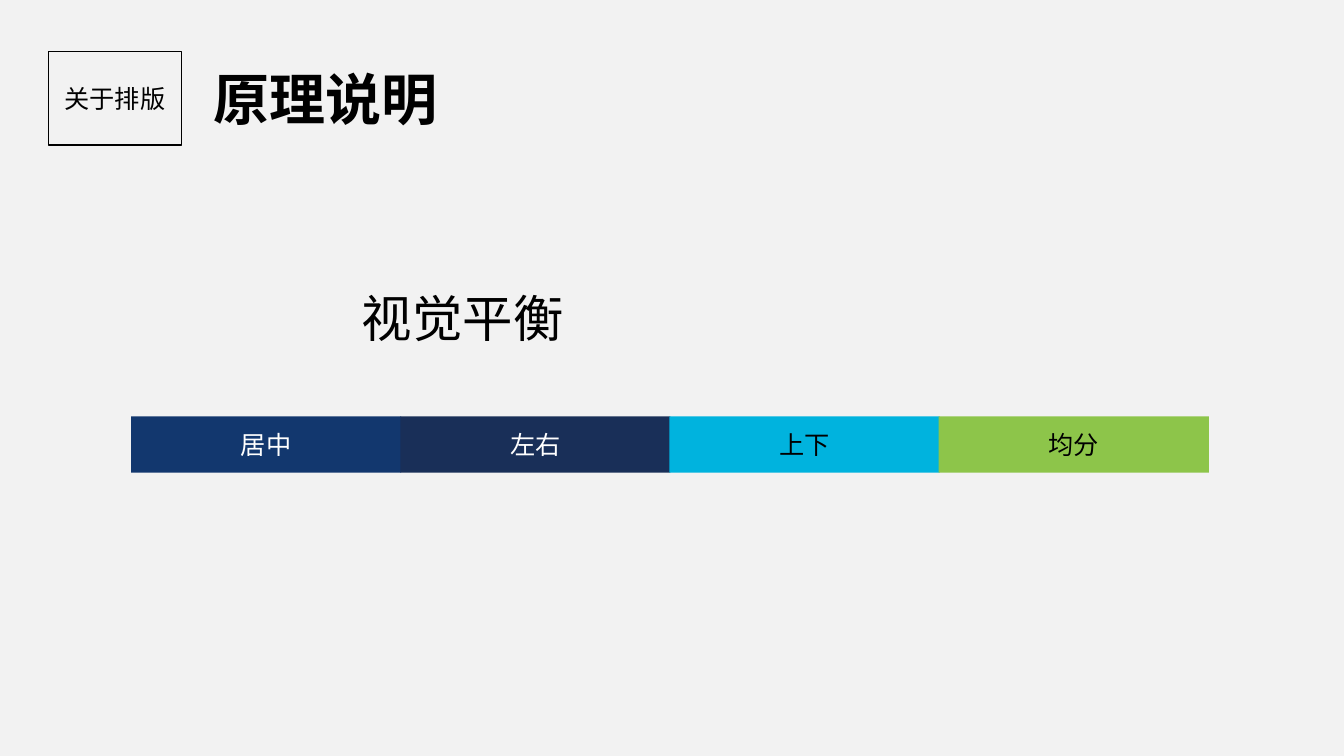
from pptx import Presentation
from pptx.dml.color import RGBColor
from pptx.enum.shapes import MSO_SHAPE as Shape
from pptx.enum.text import MSO_ANCHOR as Anchor, MSO_AUTO_SIZE as AutoSize, PP_ALIGN as Align
from pptx.oxml.ns import qn
from pptx.util import Inches, Pt
from lxml.etree import SubElement

COLORS = {
    "background": "F2F2F2",
    "black": "000000",
    "white": "FFFFFF",
    "blue": "12376E",
    "navy": "192F58",
    "cyan": "00B3DE",
    "green": "8DC54A",
}


class SlideBuilder:
    """Holds the style and the current slide and adds each kind of element."""

    font_name = "Noto Sans CJK SC"

    def __init__(self, presentation):
        self.slide = presentation.slides.add_slide(presentation.slide_layouts[5])
        self.paint(self.slide.background.fill, "background")

    def paint(self, fill, color):
        fill.solid()
        fill.fore_color.rgb = RGBColor.from_string(COLORS[color])

    def set_text(self, shape, text, size, color="black", bold=False, align=Align.LEFT, **frame_format):
        frame = shape.text_frame
        for name, value in frame_format.items():
            setattr(frame, name, value)
        paragraph = frame.paragraphs[0]
        paragraph.alignment = align
        run = paragraph.add_run()
        run.text = text
        font_format = {"name": self.font_name, "size": Pt(size), "bold": bold}
        for name, value in font_format.items():
            setattr(run.font, name, value)
        run.font.color.rgb = RGBColor.from_string(COLORS[color])
        SubElement(run._r.get_or_add_rPr(), qn("a:ea"), typeface=self.font_name)
        return paragraph

    def title(self, text, box, size):
        shape = self.slide.shapes.title
        for name, value in zip(("left", "top", "width", "height"), box):
            setattr(shape, name, Inches(value))
        paragraph = self.set_text(shape, text, size, align=Align.JUSTIFY,
                                  vertical_anchor=Anchor.MIDDLE, word_wrap=True)
        paragraph.line_spacing = 0.9

    def text(self, text, box, size, bold=False):
        shape = self.slide.shapes.add_textbox(*map(Inches, box))
        self.set_text(shape, text, size, bold=bold, word_wrap=False,
                      auto_size=AutoSize.SHAPE_TO_FIT_TEXT)

    def box(self, text, box, size, fill=None, line=None, color="black"):
        shape = self.slide.shapes.add_shape(Shape.RECTANGLE, *map(Inches, box))
        shape.shadow.inherit = False
        if fill:
            self.paint(shape.fill, fill)
        else:
            shape.fill.background()
        if line:
            self.paint(shape.line.fill, line)
            shape.line.width = Pt(1)
        else:
            shape.line.fill.background()
        self.set_text(shape, text, size, color, align=Align.CENTER,
                      vertical_anchor=Anchor.MIDDLE, word_wrap=False)


def main():
    presentation = Presentation()
    presentation.slide_width = Inches(13.33)
    presentation.slide_height = Inches(7.5)

    builder = SlideBuilder(presentation)
    builder.text("原理说明", (2.02, 0.59, 2.45, 0.77), 40, bold=True)
    builder.box("关于排版", (0.48, 0.51, 1.32, 0.93), 18, line="black")
    builder.title("视觉平衡", (3.49, 2.69, 6.25, 0.99), 36)

    principles = [
        ("居中", "blue", "white"),
        ("左右", "navy", "white"),
        ("上下", "cyan", "black"),
        ("均分", "green", "black"),
    ]
    for index, (label, fill, color) in enumerate(principles):
        builder.box(label, (1.3 + index * 2.67, 4.13, 2.68, 0.56), 18, fill=fill, color=color)

    presentation.save("out.pptx")


if __name__ == "__main__":
    main()
